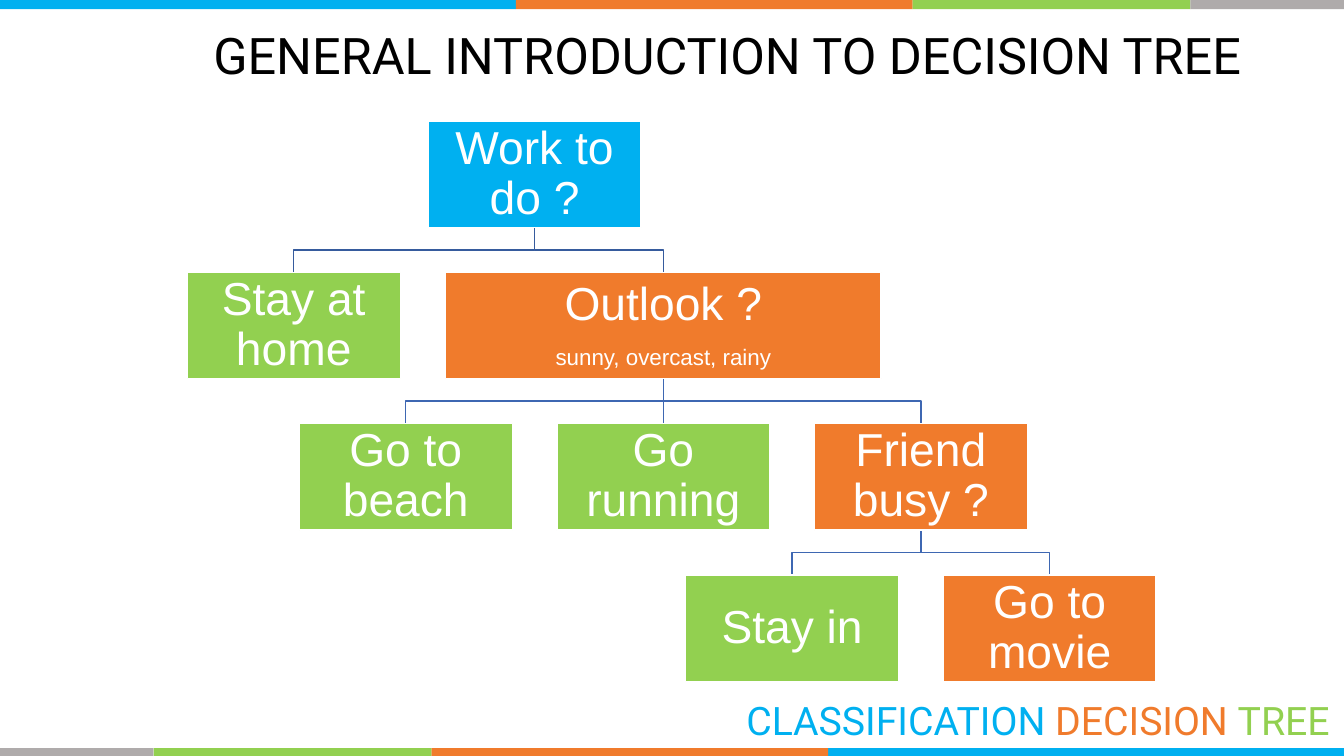
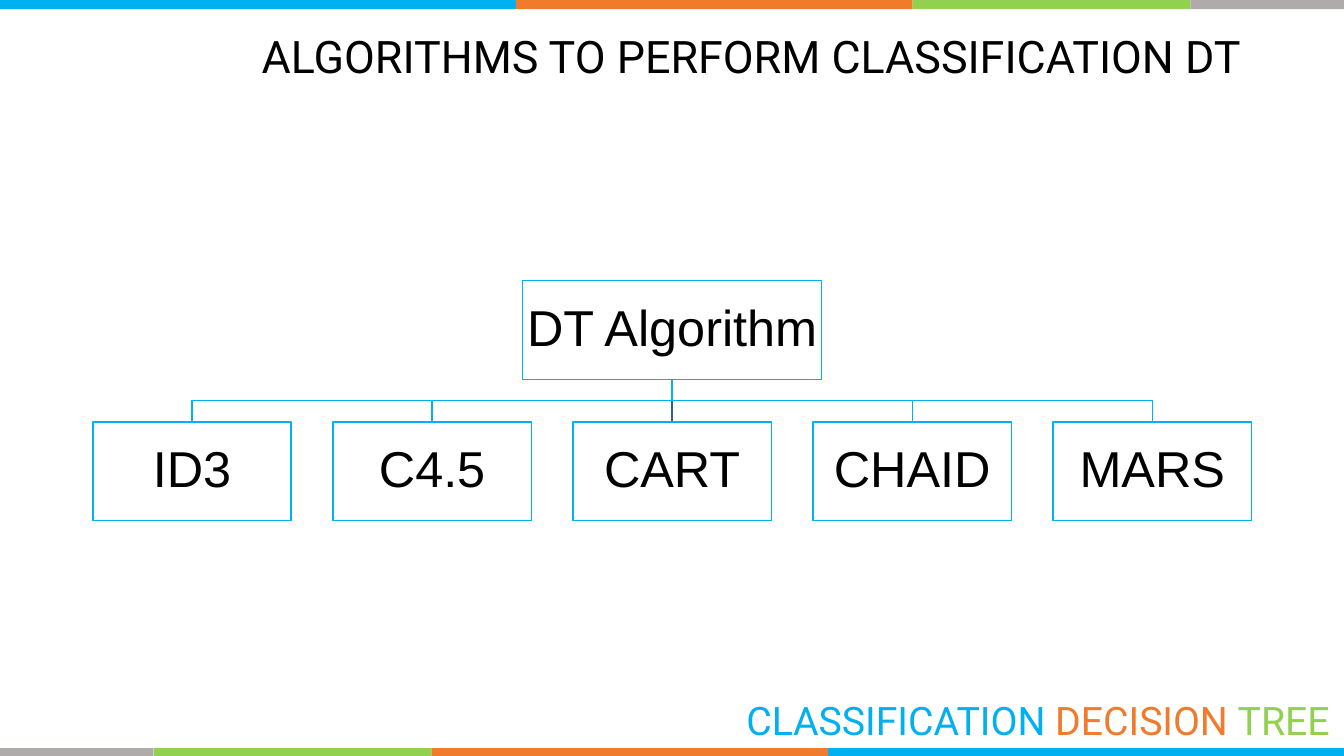
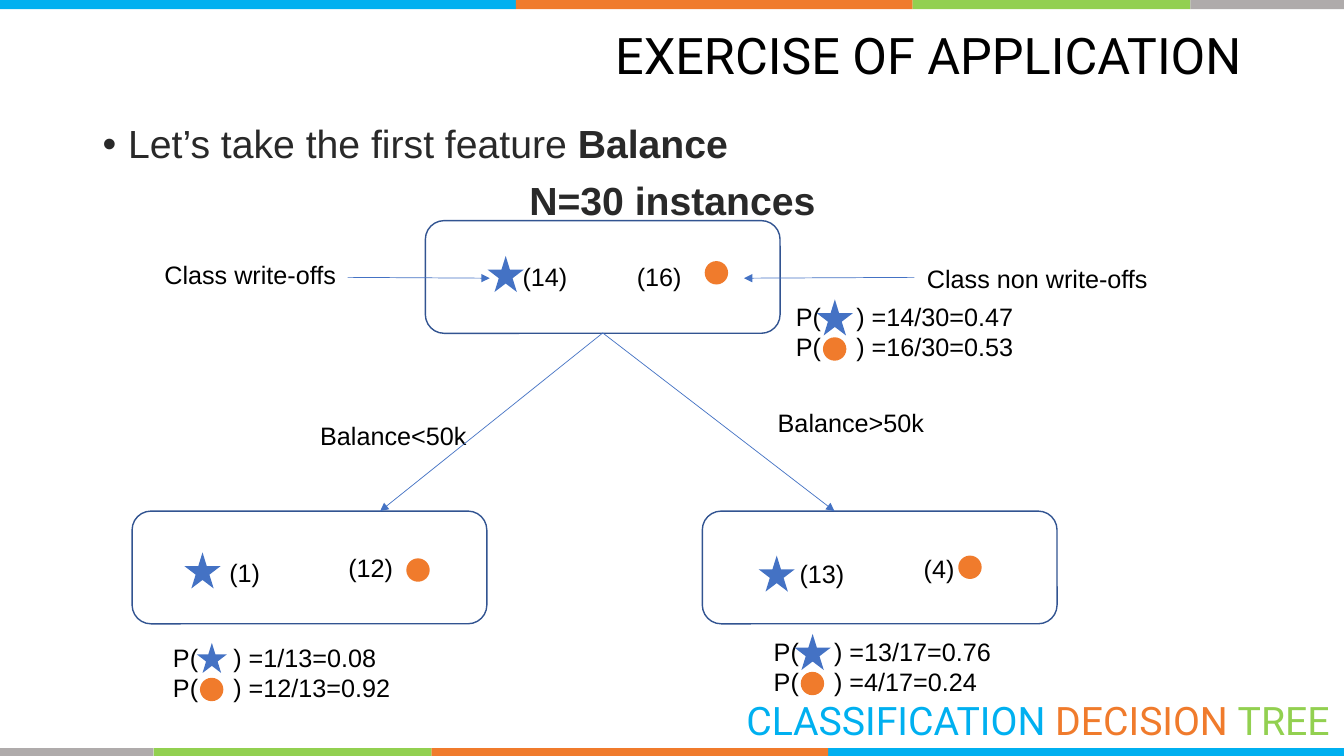
from lxml import etree
from pptx import Presentation
from pptx.dml import color as dml
from pptx.enum import shapes, text as txt
from pptx.oxml import ns
from pptx.util import Cm, Pt

WIDTH, HEIGHT = 33.87, 19.05
BLUE, ORANGE, GREEN, GREY = "00B0F0", "F07B2C", "92D050", "AFABAB"
BLACK, WHITE, CHARCOAL = "000000", "FFFFFF", "292929"
STAR_BLUE, OUTLINE_BLUE = "4472C4", "325491"
LINK_BLUE, DEEP_LINK_BLUE = "3E67B2", "365B9D"
BANDS = [(13, BLUE), (10, ORANGE), (7, GREEN), (3.87, GREY)]
LEFT, CENTER, RIGHT = txt.PP_ALIGN.LEFT, txt.PP_ALIGN.CENTER, txt.PP_ALIGN.RIGHT
PRESET = shapes.MSO_SHAPE


def paint(target, value):
    if hasattr(target, "solid"):
        target.solid()
        target = target.fore_color
    elif hasattr(target, "fill"):
        return paint(target.fill, value)
    target.rgb = dml.RGBColor.from_string(value)


def write(paragraph, text, size=18, color=BLACK, font="Arial", bold=False,
          align=LEFT, line=None, before=0, after=0):
    run = paragraph.add_run()
    run.text = text
    run.font.size, run.font.name, run.font.bold = Pt(size), font, bold
    paint(run.font.color, color)
    paragraph.alignment = align
    paragraph.space_before, paragraph.space_after = Pt(before), Pt(after)
    if line:
        paragraph.line_spacing = line
    return paragraph


def text_area(slide, x, y, width, height):
    area = slide.shapes.add_textbox(Cm(x), Cm(y), Cm(width), Cm(height))
    area.text_frame.word_wrap = True
    return area.text_frame


def label(slide, text, x, y, width, **style):
    write(text_area(slide, x, y, width, 1.02).paragraphs[0], text, **style)


def draw(slide, kind, x, y, width, height, fill=None, outline=None):
    shape = slide.shapes.add_shape(kind, Cm(x), Cm(y), Cm(width), Cm(height))
    shape.shadow.inherit = False
    if fill:
        paint(shape.fill, fill)
    else:
        shape.fill.background()
    if outline:
        paint(shape.line, outline)
        shape.line.width = Pt(1)
    else:
        shape.line.fill.background()
    return shape


def node(slide, lines, x, y, width, height, fill, outline, color, inset):
    frame = draw(slide, PRESET.RECTANGLE, x, y, width, height, fill, outline).text_frame
    frame.word_wrap = True
    frame.vertical_anchor = txt.MSO_ANCHOR.MIDDLE
    frame.margin_left = frame.margin_right = Cm(inset)
    frame.margin_top = frame.margin_bottom = Cm(inset)
    for index, (text, size) in enumerate(lines):
        paragraph = frame.add_paragraph() if index else frame.paragraphs[0]
        after = 11.5 if index < len(lines) - 1 else 0
        write(paragraph, text, size=size, color=color, align=CENTER, line=0.9, after=after)


def straight(slide, start, end, color, width, arrow=False):
    link = slide.shapes.add_connector(shapes.MSO_CONNECTOR.STRAIGHT,
                                      *[Cm(v) for v in (*start, *end)])
    paint(link.line, color)
    link.line.width = Pt(width)
    properties = link.element.spPr
    if arrow:
        etree.SubElement(properties.find(ns.qn("a:ln")), ns.qn("a:tailEnd"), type="triangle")
    etree.SubElement(properties, ns.qn("a:effectLst"))


def branch(slide, start, end, color):
    if abs(start[0] - end[0]) < 0.01:
        return straight(slide, start, end, color, 1)
    middle = (start[1] + end[1]) / 2
    corners = [(start[0], middle), (end[0], middle), end]
    outline = slide.shapes.build_freeform(Cm(start[0]), Cm(start[1]))
    outline.add_line_segments([(Cm(x), Cm(y)) for x, y in corners], close=False)
    elbow = outline.convert_to_shape()
    elbow.shadow.inherit = False
    elbow.fill.background()
    paint(elbow.line, color)
    elbow.line.width = Pt(1)


def band(slide, y, mirrored):
    x = 0
    for width, color in BANDS:
        left = WIDTH - x - width if mirrored else x
        draw(slide, PRESET.RECTANGLE, left, y, width, 0.25, color)
        x += width


def footer(slide):
    paragraph = text_area(slide, 17.25, 17.42, 16.51, 1.45).paragraphs[0]
    for word, color in [("CLASSIFICATION ", BLUE), ("DECISION ", ORANGE), ("TREE", GREEN)]:
        write(paragraph, word, size=28, color=color, font="Roboto", align=RIGHT)


def dress_layout(layout, slide):
    for spare in list(layout.placeholders)[1:]:
        spare.element.getparent().remove(spare.element)
    band(slide, -0.02, False)
    band(slide, 18.85, True)
    footer(slide)
    for part in list(slide.shapes)[1:]:
        layout.shapes.element.append(part.element)


def titled_slide(deck, heading, size=36):
    slide = deck.slides.add_slide(deck.slide_layouts[5])
    title = slide.shapes.title
    title.left, title.top, title.width, title.height = Cm(2.34), Cm(0.33), Cm(29.21), Cm(2.29)
    title.text_frame.vertical_anchor = txt.MSO_ANCHOR.MIDDLE
    title.text_frame.auto_size = txt.MSO_AUTO_SIZE.NONE
    write(title.text_frame.paragraphs[0], heading, size=size, font="Roboto",
          align=RIGHT, line=0.9)
    return slide


def decision_tree(slide, x, y, width, height):
    leaf, column, tall = width * 0.22, width * 0.133, height * 0.19
    row_step = (height - tall) / 3
    outlook = [("Outlook ?", 33), ("sunny, overcast, rainy", 16)]
    nodes = [
        ([("Work to do ?", 33)], BLUE, 1.87, 0, leaf, None),
        ([("Stay at home", 33)], GREEN, 0, 1, leaf, 0),
        (outlook, ORANGE, 2.87, 1, width * 0.45, 0),
        ([("Go to beach", 33)], GREEN, 0.87, 2, leaf, 2),
        ([("Go running", 33)], GREEN, 2.87, 2, leaf, 2),
        ([("Friend busy ?", 33)], ORANGE, 4.87, 2, leaf, 2),
        ([("Stay in", 33)], GREEN, 3.87, 3, leaf, 5),
        ([("Go to movie", 33)], ORANGE, 5.87, 3, leaf, 5),
    ]
    tops = [(x + leaf / 2 + place * column, y + row * row_step)
            for _, _, place, row, _, _ in nodes]
    for top, (*_, parent) in zip(tops, nodes):
        if parent is not None:
            start = (tops[parent][0], tops[parent][1] + tall)
            branch(slide, start, top, LINK_BLUE if parent else DEEP_LINK_BLUE)
    for (center, top), (lines, fill, _, _, wide, _) in zip(tops, nodes):
        node(slide, lines, center - wide / 2, top, wide, tall, fill, WHITE, WHITE, 0.05)


def algorithm_chart(slide, x, y, width, height):
    names = ["ID3", "C4.5", "CART", "CHAID", "MARS"]
    leaf, root, tall = 5, 7.54, 2.49
    step = (width - leaf) / (len(names) - 1)
    middle, row = x + width / 2, y + height - tall
    for index in range(len(names)):
        color = DEEP_LINK_BLUE if index == len(names) // 2 else BLUE
        branch(slide, (middle, y + tall), (x + leaf / 2 + index * step, row), color)
    boxes = [("DT Algorithm", middle - root / 2, y, root)]
    boxes += [(name, x + index * step, row, leaf) for index, name in enumerate(names)]
    for name, left, top, wide in boxes:
        node(slide, [(name, 36)], left, top, wide, tall, None, BLUE, BLACK, 0.08)


def star(slide, x, y, size=0.91):
    draw(slide, PRESET.STAR_5_POINT, x, y, size, size, STAR_BLUE)


def dot(slide, x, y):
    draw(slide, PRESET.OVAL, x, y, 0.59, 0.59, ORANGE)


def feature_intro(slide, x, y, width, height):
    frame = text_area(slide, x, y, width, height)
    style = dict(size=28, color=CHARCOAL, line=0.9, before=10)
    feature = write(frame.paragraphs[0], "Let’s take the first feature ", **style)
    write(feature, "Balance", bold=True, **style)
    properties = feature._p.get_or_add_pPr()
    properties.set("marL", str(Cm(0.64)))
    properties.set("indent", str(-Cm(0.64)))
    etree.SubElement(properties, ns.qn("a:buFont"), typeface="Arial")
    etree.SubElement(properties, ns.qn("a:buChar"), char="•")
    write(frame.add_paragraph(), "N=30 instances", bold=True, align=CENTER, **style)


def class_counts(slide, x, y, stars, dots, star_at, stars_y, dots_at, dot_at):
    draw(slide, PRESET.ROUNDED_RECTANGLE, x, y, 8.94, 2.84, outline=OUTLINE_BLUE)
    label(slide, f"({stars})", x + 2.2, y + stars_y, 1.83)
    label(slide, f"({dots})", x + dots_at[0], y + dots_at[1], 1.83)
    star(slide, x + star_at[0], y + star_at[1])
    dot(slide, x + dot_at[0], y + dot_at[1])


def probabilities(slide, x, y, star_share, dot_share, star_size=0.91):
    frame = text_area(slide, x, y, 6.15, 1.8)
    for paragraph, share in [(frame.paragraphs[0], star_share),
                             (frame.add_paragraph(), dot_share)]:
        write(paragraph, f"P(\t) ={share}")
        stops = etree.SubElement(paragraph._p.get_or_add_pPr(), ns.qn("a:tabLst"))
        etree.SubElement(stops, ns.qn("a:tab"), pos=str(Cm(1.52)), algn="l")
    star(slide, x + 1.23 - star_size / 2, y + 0.53 - star_size / 2, star_size)
    dot(slide, x + 0.93, y + 1.03)


def balance_split(slide, x, y):
    class_counts(slide, x + 7.39, y, 14, 16, (1.57, 0.89), 0.91, (5.08, 0.89), (7.04, 1.02))
    class_counts(slide, x, y + 7.32, 1, 12, (1.32, 1.04), 1.04, (5.2, 0.91), (6.91, 1.19))
    class_counts(slide, x + 14.37, y + 7.32, 13, 4,
                 (1.42, 1.12), 1.07, (5.33, 0.94), (6.45, 1.12))
    probabilities(slide, x + 16.48, y + 1.91, "14/30=0.47", "16/30=0.53")
    probabilities(slide, x + 0.78, y + 10.49, "1/13=0.08", "12/13=0.92", 0.76)
    probabilities(slide, x + 15.92, y + 10.34, "13/17=0.76", "4/17=0.24")
    label(slide, "Class write-offs", x - 0.38, y + 0.84, 5.77, align=RIGHT)
    label(slide, "Class non write-offs", x + 19.78, y + 0.94, 6.45)
    label(slide, "Balance<50k", x + 4.49, y + 4.9, 4.83)
    label(slide, "Balance>50k", x + 16.02, y + 4.57, 4.83)
    fork = (11.86, 2.83)
    for start, end in [((5.43, 1.43), (9.01, 1.45)), ((19.71, 1.43), (15.42, 1.45)),
                       (fork, (6.25, 7.32)), (fork, (17.7, 7.32))]:
        straight(slide, (x + start[0], y + start[1]), (x + end[0], y + end[1]),
                 STAR_BLUE, 0.5, arrow=True)


def main():
    deck = Presentation()
    deck.slide_width, deck.slide_height = Cm(WIDTH), Cm(HEIGHT)
    introduction = titled_slide(deck, "GENERAL INTRODUCTION TO DECISION TREE")
    dress_layout(deck.slide_layouts[5], introduction)
    decision_tree(introduction, 4.72, 3.05, 24.4, 14.12)
    algorithms = titled_slide(deck, "ALGORITHMS TO PERFORM CLASSIFICATION DT", size=32)
    algorithm_chart(algorithms, 2.34, 7.07, 29.2, 6.05)
    exercise = titled_slide(deck, "EXERCISE OF APPLICATION")
    feature_intro(exercise, 2.34, 3.02, 29.21, 14.12)
    balance_split(exercise, 3.33, 5.56)
    deck.save("out.pptx")


if __name__ == "__main__":
    main()
